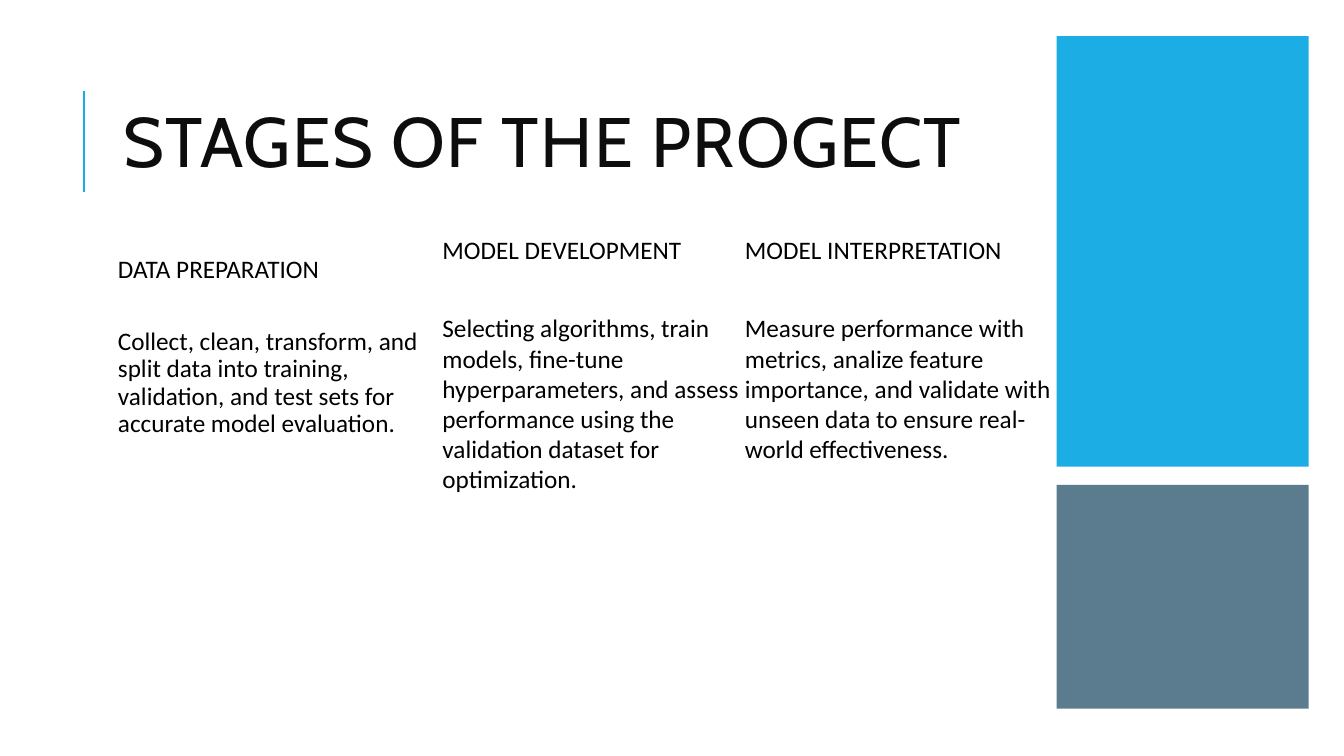
"""Build the project stages slide: a title, three text columns and two side panels."""
import pptx
import pptx.dml.color
import pptx.enum.shapes
import pptx.enum.text
import pptx.oxml.ns
import pptx.util
from lxml import etree

PX = 9144
THEME = {
    "title_font": "Cabin", "body_font": "Calibri",
    "title_size": 50, "body_size": 18,
    "title": "0D0D0D", "body": "000000",
    "accent": "1CADE4", "panel": "335B74",
}


def box(*lengths):
    return [pptx.util.Emu(n * PX) for n in lengths]


def style(p, role, line_spacing, space_after):
    p.alignment = pptx.enum.text.PP_ALIGN.LEFT
    p.line_spacing = line_spacing
    p.space_before = pptx.util.Pt(0)
    p.space_after = pptx.util.Pt(space_after)
    for r in p.runs:
        r.font.name = THEME[role + "_font"]
        r.font.size = pptx.util.Pt(THEME[role + "_size"])
        r.font.color.rgb = pptx.dml.color.RGBColor.from_string(THEME[role])


prs = pptx.Presentation()
prs.slide_width, prs.slide_height = box(1333, 750)
s = prs.slides.add_slide(prs.slide_layouts[5])

title = s.shapes.title
title.left, title.top, title.width, title.height = box(112, 64, 877, 164)
tf = title.text_frame
tf.text = "STAGES OF THE PROGECT"
tf.word_wrap = True
tf.auto_size = pptx.enum.text.MSO_AUTO_SIZE.NONE
tf.vertical_anchor = pptx.enum.text.MSO_ANCHOR.MIDDLE
style(tf.paragraphs[0], "title", 0.8, 6)
tf.paragraphs[0].runs[0].font._element.set("spc", "100")

rule = s.shapes.add_connector(
    pptx.enum.shapes.MSO_CONNECTOR.STRAIGHT, *box(83, 190, 83, 90))
rule.line.color.rgb = pptx.dml.color.RGBColor.from_string(THEME["accent"])
rule.line.width = pptx.util.Pt(1.5)
etree.SubElement(rule._element.spPr, pptx.oxml.ns.qn("a:effectLst"))

for top, height, color, alpha in ((36, 427, "accent", 100), (481, 222, "panel", 80)):
    sp = s.shapes.add_shape(
        pptx.enum.shapes.MSO_SHAPE.RECTANGLE, *box(1048, top, 250, height))
    sp.shadow.inherit = False
    sp.line.fill.background()
    sp.fill.solid()
    sp.fill.fore_color.rgb = pptx.dml.color.RGBColor.from_string(THEME[color])
    if alpha < 100:
        rgb = sp._element.spPr.find(".//" + pptx.oxml.ns.qn("a:srgbClr"))
        etree.SubElement(rgb, pptx.oxml.ns.qn("a:alpha"), val=str(alpha * 1000))

FIXED = pptx.enum.text.MSO_AUTO_SIZE.NONE
GROW = pptx.enum.text.MSO_AUTO_SIZE.SHAPE_TO_FIT_TEXT
stages = [
    ((112, 250, 317, 383), (5, 5), FIXED, 0.9, 32, "DATA PREPARATION",
     "Collect, clean, transform, and split data into training, validation, "
     "and test sets for accurate model evaluation."),
    ((429, 228, 346, 308), (10, 5), GROW, 1.0, 34, "MODEL DEVELOPMENT",
     "Selecting algorithms, train models, fine-tune hyperparameters, and assess "
     "performance using the validation dataset for optimization."),
    ((729, 228, 347, 278), (10, 5), GROW, 1.0, 34, "MODEL INTERPRETATION",
     "Measure performance with metrics, analize feature importance, and validate "
     "with unseen data to ensure real-world effectiveness."),
]
for place, insets, fit, line_spacing, gap, heading, detail in stages:
    tf = s.shapes.add_textbox(*box(*place)).text_frame
    tf.word_wrap = True
    tf.auto_size = fit
    tf.margin_left, tf.margin_top = box(*insets)
    tf.margin_right, tf.margin_bottom = box(*insets)
    tf.text = heading
    tf.add_paragraph().text = detail
    for p, space_after in zip(tf.paragraphs, (gap, 6)):
        style(p, "body", line_spacing, space_after)

prs.save("out.pptx")
